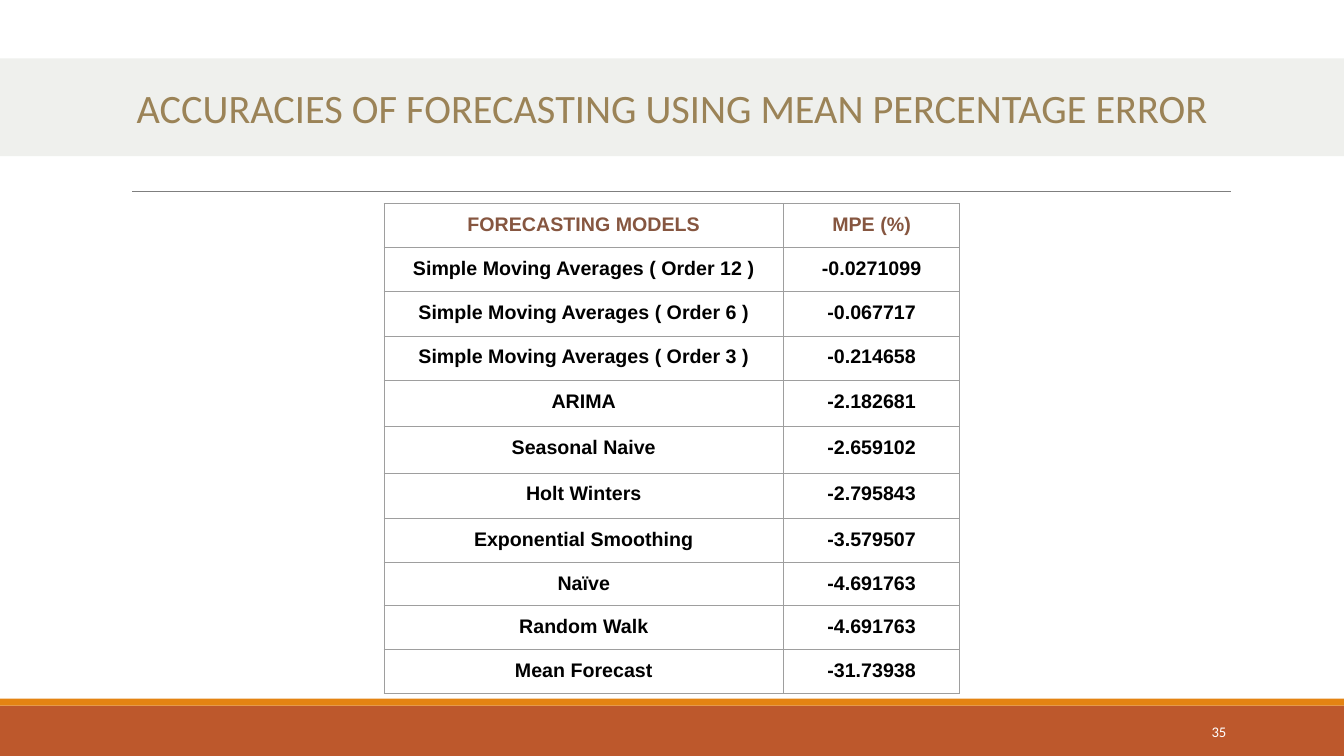
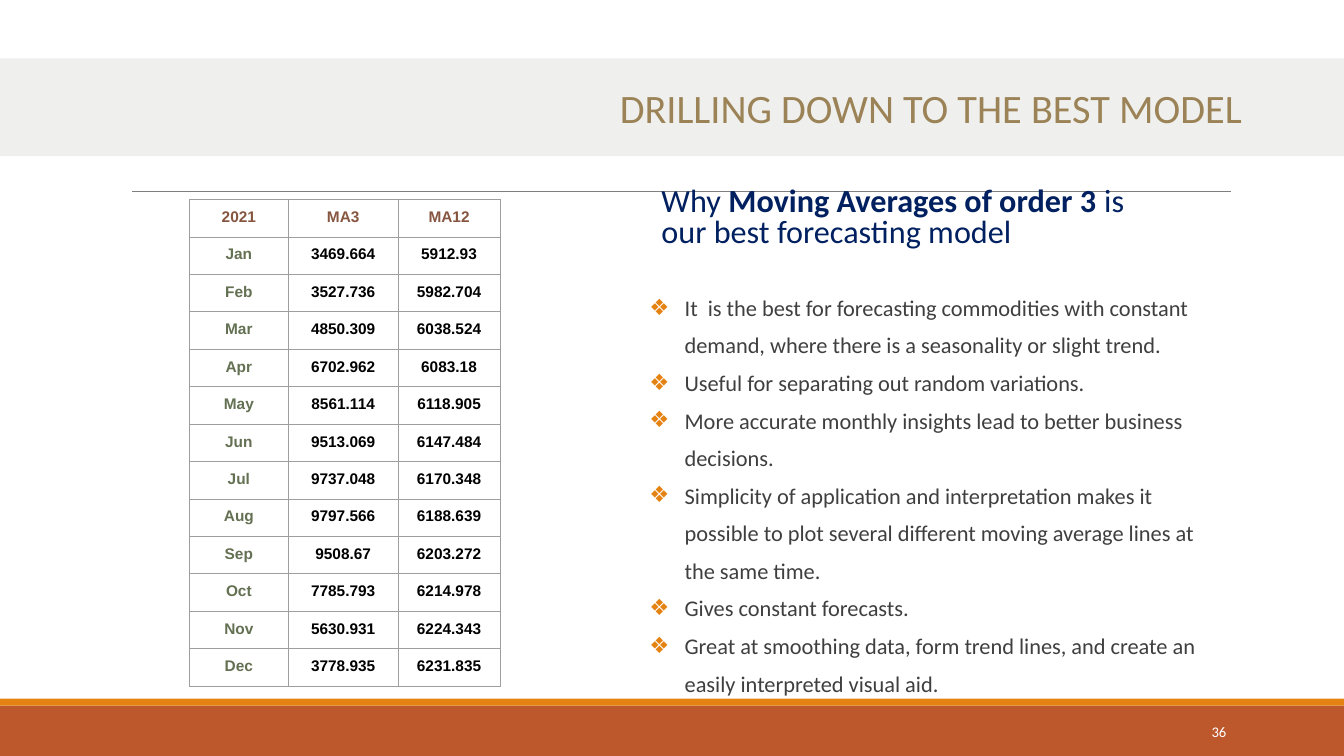
from lxml.etree import SubElement as Sub
from pptx import Presentation
from pptx.dml.color import RGBColor
from pptx.enum.shapes import MSO_CONNECTOR as Link, MSO_SHAPE as Form
from pptx.enum.text import MSO_ANCHOR as Anchor, MSO_AUTO_SIZE as Fit, PP_ALIGN as Align
from pptx.oxml import parse_xml
from pptx.oxml.ns import nsdecls, qn
from pptx.util import Inches, Pt

WIDE, HIGH = Inches(13.33), Inches(7.5)

# Shared colours
RUST, AMBER, SAGE, GRAY = "BD582C", "E48312", "94A088", "7F7F7F"
GOLD, NAVY, DARK, WHITE = "9B8357", "002060", "3F3F3F", "FFFFFF"
BROWN, MOSS, BLACK, EDGE = "865640", "637052", "000000", "9E9E9E"

MODELS = [
    ("FORECASTING MODELS", "MPE (%)"),
    ("Simple Moving Averages ( Order 12 )", "-0.0271099"),
    ("Simple Moving Averages ( Order 6 )", "-0.067717"),
    ("Simple Moving Averages ( Order 3 )", "-0.214658"),
    ("ARIMA", "-2.182681"),
    ("Seasonal Naive", "-2.659102"),
    ("Holt Winters", "-2.795843"),
    ("Exponential Smoothing", "-3.579507"),
    ("Naïve", "-4.691763"),
    ("Random Walk", "-4.691763"),
    ("Mean Forecast", "-31.73938"),
]
MONTHS = [
    ("2021", "MA3", "MA12"),
    ("Jan", "3469.664", "5912.93"),
    ("Feb", "3527.736", "5982.704"),
    ("Mar", "4850.309", "6038.524"),
    ("Apr", "6702.962", "6083.18"),
    ("May", "8561.114", "6118.905"),
    ("Jun", "9513.069", "6147.484"),
    ("Jul", "9737.048", "6170.348"),
    ("Aug", "9797.566", "6188.639"),
    ("Sep", "9508.67", "6203.272"),
    ("Oct", "7785.793", "6214.978"),
    ("Nov", "5630.931", "6224.343"),
    ("Dec", "3778.935", "6231.835"),
]
POINTS = [
    "It  is the best for forecasting commodities with constant demand, "
    "where there is a seasonality or slight trend.",
    "Useful for separating out random variations.",
    "More accurate monthly insights lead to better business decisions.",
    "Simplicity of application and interpretation makes it possible to plot "
    "several different moving average lines at the same time.",
    "Gives constant forecasts.",
    "Great at smoothing data, form trend lines, and create an easily "
    "interpreted visual aid.",
]


def hue(code):
    return RGBColor.from_string(code)


# Lengths are percentages of the slide's width and height
def across(share):
    return round(WIDE * share / 100)


def down(share):
    return round(HIGH * share / 100)


def area(left, top, width, height):
    return across(left), down(top), across(width), down(height)


def place(shape, *spot):
    shape.left, shape.top, shape.width, shape.height = area(*spot)


def write(para, text, size=16, color=BLACK, bold=False, font="Calibri",
          align=None, line=None, after=0):
    """Add a run to a paragraph, and format both."""
    run = para.add_run()
    run.text = text
    run.font.size, run.font.name, run.font.bold = Pt(size), font, bold
    run.font.color.rgb = hue(color)
    para.space_before, para.space_after = Pt(0), Pt(after)
    if align is not None:
        para.alignment = align
    if line:
        para.line_spacing = line


def band(slide, top, height, color, alpha=None):
    rect = slide.shapes.add_shape(Form.RECTANGLE, *area(0, top, 100, height))
    rect.shadow.inherit = False
    rect.fill.solid()
    rect.fill.fore_color.rgb = hue(color)
    rect.line.fill.background()
    if alpha:
        tint = rect.element.spPr.find(".//" + qn("a:srgbClr"))
        Sub(tint, qn("a:alpha"), val=str(alpha * 1000))
    return rect


def rule(slide, left, right, top):
    line = slide.shapes.add_connector(
        Link.STRAIGHT, across(left), down(top), across(right), down(top))
    line.line.color.rgb = hue(GRAY)
    line.line.width = Pt(0.75)
    Sub(line.element.spPr, qn("a:effectLst"))
    return line


def dress(deck, slide):
    """Draw the shared bands and rule, and hand them to the master."""
    parts = [
        band(slide, 93.33, 6.67, RUST),
        band(slide, 92.4, 0.93, AMBER),
        rule(slide, 9.83, 91.6, 25.33),
        band(slide, 7.73, 12.93, SAGE, alpha=15),
    ]
    tree = deck.slide_master.shapes.element
    for pos, part in enumerate(parts):
        part.element.xpath(".//p:cNvPr")[0].set("id", str(20 + pos))
        tree.insert(2 + pos, part.element)


def head(slide, text, left, width, align):
    title = slide.shapes.title
    place(title, left, 9.47, width, 10.53)
    frame = title.text_frame
    frame.auto_size, frame.word_wrap = Fit.NONE, True
    frame.vertical_anchor = Anchor.MIDDLE
    write(frame.paragraphs[0], text, size=28.8, color=GOLD, align=align, line=0.85)


def number(slide, text):
    frame = slide.shapes.add_textbox(*area(81.25, 94.13, 10.73, 5.33)).text_frame
    frame.word_wrap = True
    frame.vertical_anchor = Anchor.MIDDLE
    write(frame.paragraphs[0], text, size=10.5, color=WHITE, align=Align.RIGHT)


def body(holder, *spot):
    place(holder, *spot)
    frame = holder.text_frame
    frame.auto_size, frame.word_wrap = Fit.NONE, True
    frame.vertical_anchor = Anchor.TOP
    frame.margin_left = frame.margin_right = 0
    return frame


def bullet(para, mark=None, left=0, hang=0):
    """Set the indent and the mark; without a mark, the bullet is off."""
    props = para._p.get_or_add_pPr()
    props.set("marL", str(Inches(left)))
    props.set("indent", str(-Inches(hang)))
    if mark:
        tint = Sub(props, qn("a:buClr"))
        Sub(tint, qn("a:srgbClr"), val=AMBER)
        Sub(props, qn("a:buChar"), char=mark)
    else:
        Sub(props, qn("a:buNone"))


def border(cell):
    props = cell._tc.get_or_add_tcPr()
    for pos, side in enumerate("LRTB"):
        props.insert(pos, parse_xml(
            f'<a:ln{side} {nsdecls("a")} w="{Pt(0.75)}"><a:solidFill>'
            f'<a:srgbClr val="{EDGE}"/></a:solidFill></a:ln{side}>'))


def grid(slide, data, left, top, cols, rows, size, pad, first=BLACK):
    spot = area(left, top, sum(cols), sum(rows))
    table = slide.shapes.add_table(len(data), len(cols), *spot).table
    table.first_row = table.horz_banding = False
    for col, width in zip(table.columns, cols):
        col.width = across(width)
    for row, height in zip(table.rows, rows):
        row.height = down(height)
    for r, texts in enumerate(data):
        for c, text in enumerate(texts):
            cell = table.cell(r, c)
            cell.fill.background()
            border(cell)
            cell.margin_left = cell.margin_right = Inches(0.1)
            cell.margin_top = cell.margin_bottom = Inches(pad)
            color = BROWN if r == 0 else first if c == 0 else BLACK
            write(cell.text_frame.paragraphs[0], text, size=size, color=color,
                  bold=True, font="Arial", align=Align.CENTER)


def errors(slide):
    head(slide, "ACCURACIES OF FORECASTING USING MEAN PERCENTAGE ERROR",
         6.9, 86.27, Align.CENTER)
    number(slide, "35")
    rows = [5.6] + [5.87] * 3 + [6.13] * 2 + [6] + [5.6] * 4
    grid(slide, MODELS, 28.58, 26.93, [29.71, 13.13], rows, size=14, pad=0.1)


def best(slide):
    head(slide, "DRILLING DOWN TO THE BEST MODEL", 43.29, 49.89, Align.RIGHT)
    lead, items = list(slide.placeholders)[1:]

    # Lead question
    para = body(lead, 49.21, 24.13, 37.96, 8.53).paragraphs[0]
    bullet(para)
    for text, bold in (("Why ", False), ("Moving Averages of order 3", True),
                       (" is our best forecasting model", False)):
        write(para, text, size=23, color=NAVY, bold=bold, line=0.8, after=2)

    # Reasons
    frame = body(items, 47.19, 36.8, 43.89, 48.53)
    for pos, text in enumerate(POINTS):
        para = frame.add_paragraph() if pos else frame.paragraphs[0]
        bullet(para, "❖", left=0.5, hang=0.35)
        write(para, text, color=DARK, line=1.4)

    number(slide, "36")
    rows = [64.4 / len(MONTHS)] * len(MONTHS)
    grid(slide, MONTHS, 14.1, 26.4, [7.35, 8.18, 7.58], rows,
         size=11, pad=0.09, first=MOSS)


def main():
    deck = Presentation()
    deck.slide_width, deck.slide_height = WIDE, HIGH
    plain, pair = deck.slide_layouts[5], deck.slide_layouts[3]
    slide = deck.slides.add_slide(plain)
    dress(deck, slide)
    errors(slide)
    best(deck.slides.add_slide(pair))
    deck.save("out.pptx")


if __name__ == "__main__":
    main()
